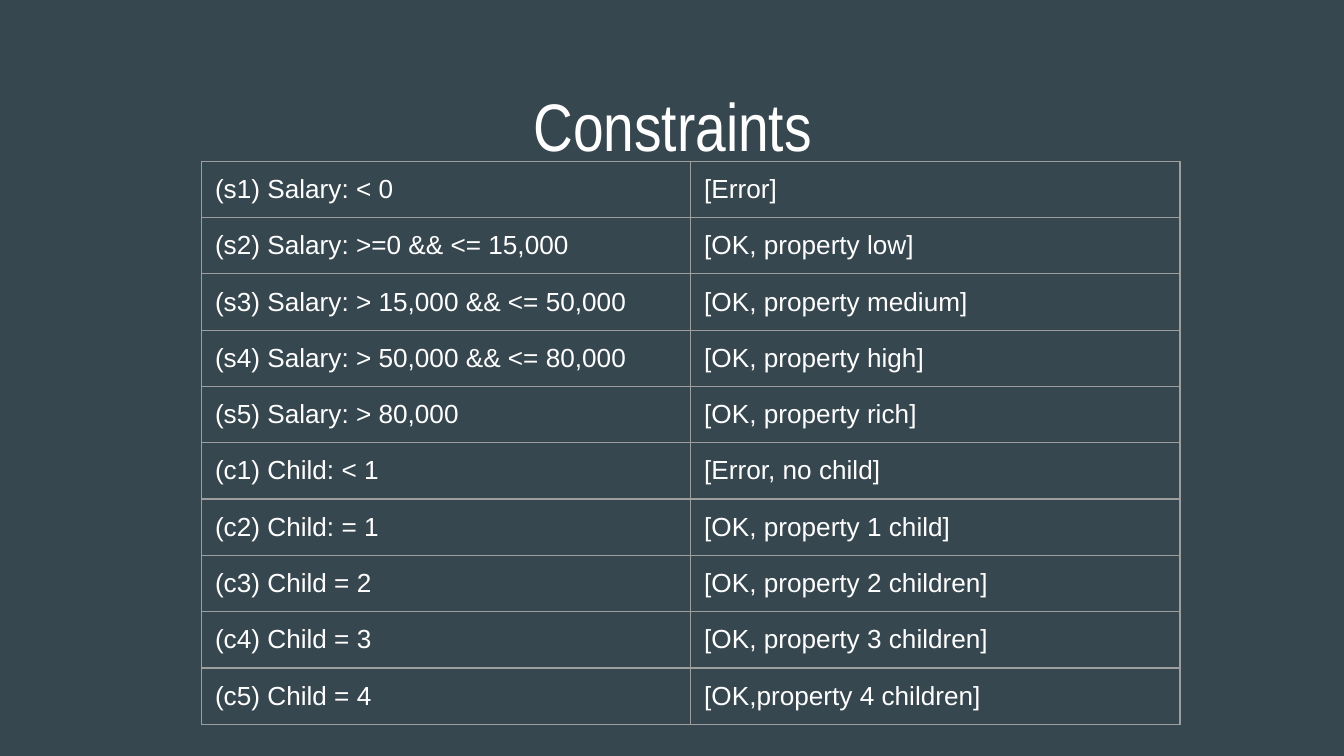
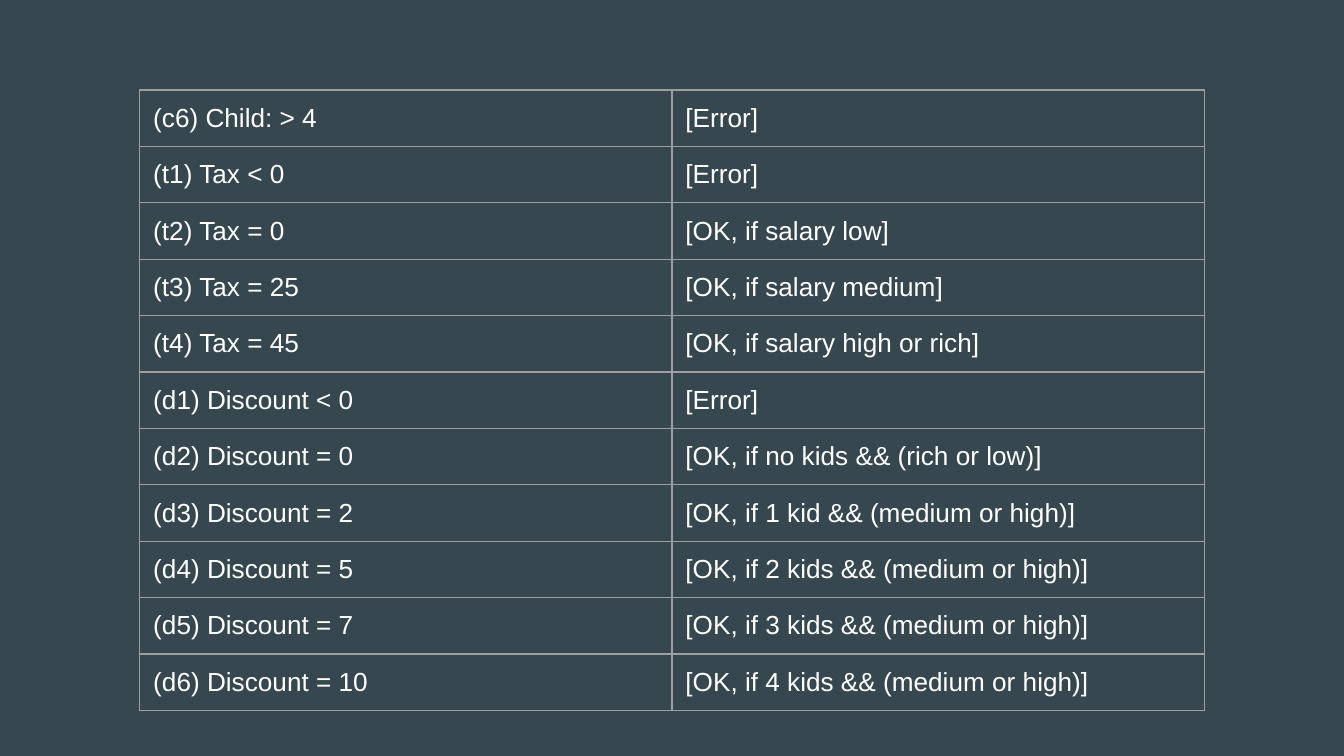
from dataclasses import dataclass

from lxml import etree
from pptx import Presentation
from pptx.dml.color import RGBColor
from pptx.enum import text
from pptx.oxml import ns
from pptx.slide import Slide
from pptx.table import _Cell
from pptx.util import Inches, Pt

COLORS = {"background": "37474F", "text": "FFFFFF", "border": "9E9E9E"}
TITLE_FONT = "Arial Narrow"
BODY_FONT = "Arial"
SLIDE_WIDTH = Inches(10)
SLIDE_HEIGHT = SLIDE_WIDTH * 9 // 16
INSET = Inches(0.1)
BORDER_WIDTH = Pt(0.75)
TITLE_ONLY, BLANK = 5, 6


@dataclass(frozen=True)
class ConstraintTable:
    left: float
    top: float
    column_width: float
    row_height: float
    rows: list[tuple[str, str]]
    title: str = ""


CONSTRAINT_TABLES = [
    ConstraintTable(1.5, 1.2, 3.64, 0.39, [
        ("(s1) Salary: < 0", "[Error]"),
        ("(s2) Salary: >=0 && <= 15,000", "[OK, property low]"),
        ("(s3) Salary: > 15,000 && <= 50,000", "[OK, property medium]"),
        ("(s4) Salary: > 50,000 && <= 80,000", "[OK, property high]"),
        ("(s5) Salary: > 80,000", "[OK, property rich]"),
        ("(c1) Child: < 1", "[Error, no child]"),
        ("(c2) Child: = 1", "[OK, property 1 child]"),
        ("(c3) Child = 2", "[OK, property 2 children]"),
        ("(c4) Child = 3", "[OK, property 3 children]"),
        ("(c5) Child = 4", "[OK,property 4 children]"),
    ], title="Constraints"),
    ConstraintTable(1.04, 0.67, 3.96, 0.42, [
        ("(c6) Child: > 4", "[Error]"),
        ("(t1) Tax < 0", "[Error]"),
        ("(t2) Tax = 0", "[OK, if salary low]"),
        ("(t3) Tax = 25", "[OK, if salary medium]"),
        ("(t4) Tax = 45", "[OK, if salary high or rich]"),
        ("(d1) Discount < 0", "[Error]"),
        ("(d2) Discount = 0", "[OK, if no kids && (rich or low)]"),
        ("(d3) Discount = 2", "[OK, if 1 kid && (medium or high)]"),
        ("(d4) Discount = 5", "[OK, if 2 kids && (medium or high)]"),
        ("(d5) Discount = 7", "[OK, if 3 kids && (medium or high)]"),
        ("(d6) Discount = 10", "[OK, if 4 kids && (medium or high)]"),
    ]),
]


def color(name: str) -> RGBColor:
    return RGBColor.from_string(COLORS[name])


def write(holder, words: str, font_name: str, size: int) -> None:
    """Put one styled paragraph with even insets into a text frame or cell."""
    holder.margin_left = holder.margin_right = INSET
    holder.margin_top = holder.margin_bottom = INSET
    holder.text = words
    frame = getattr(holder, "text_frame", holder)
    font = frame.paragraphs[0].font
    font.name, font.size = font_name, Pt(size)
    font.color.rgb = color("text")


def add_title(slide: Slide, words: str) -> None:
    title = slide.shapes.title
    title.left, title.top = Inches(0.71), Inches(0.46)
    title.width, title.height = Inches(8.59), Inches(0.94)
    frame = title.text_frame
    write(frame, words, TITLE_FONT, 36)
    frame.vertical_anchor = text.MSO_ANCHOR.MIDDLE
    frame.paragraphs[0].alignment = text.PP_ALIGN.CENTER


def add_borders(cell: _Cell) -> None:
    properties = cell._tc.get_or_add_tcPr()
    for side in ("lnL", "lnR", "lnT", "lnB"):
        line = etree.SubElement(properties, ns.qn(f"a:{side}"), w=str(BORDER_WIDTH))
        fill = etree.SubElement(line, ns.qn("a:solidFill"))
        etree.SubElement(fill, ns.qn("a:srgbClr"), val=COLORS["border"])


def add_constraints(slide: Slide, content: ConstraintTable) -> None:
    row_count, column_count = len(content.rows), len(content.rows[0])
    table = slide.shapes.add_table(
        row_count, column_count, Inches(content.left), Inches(content.top),
        Inches(content.column_width * column_count),
        Inches(content.row_height * row_count)).table
    table.first_row = table.horz_banding = False
    for row, entries in zip(table.rows, content.rows):
        for cell, entry in zip(row.cells, entries):
            write(cell, entry, BODY_FONT, 14)
            add_borders(cell)
            cell.fill.background()


def main() -> None:
    deck = Presentation()
    deck.slide_width, deck.slide_height = SLIDE_WIDTH, SLIDE_HEIGHT
    background = deck.slide_master.background.fill
    background.solid()
    background.fore_color.rgb = color("background")
    for content in CONSTRAINT_TABLES:
        layout = deck.slide_layouts[TITLE_ONLY if content.title else BLANK]
        slide = deck.slides.add_slide(layout)
        if content.title:
            add_title(slide, content.title)
        add_constraints(slide, content)
    deck.save("out.pptx")


if __name__ == "__main__":
    main()
